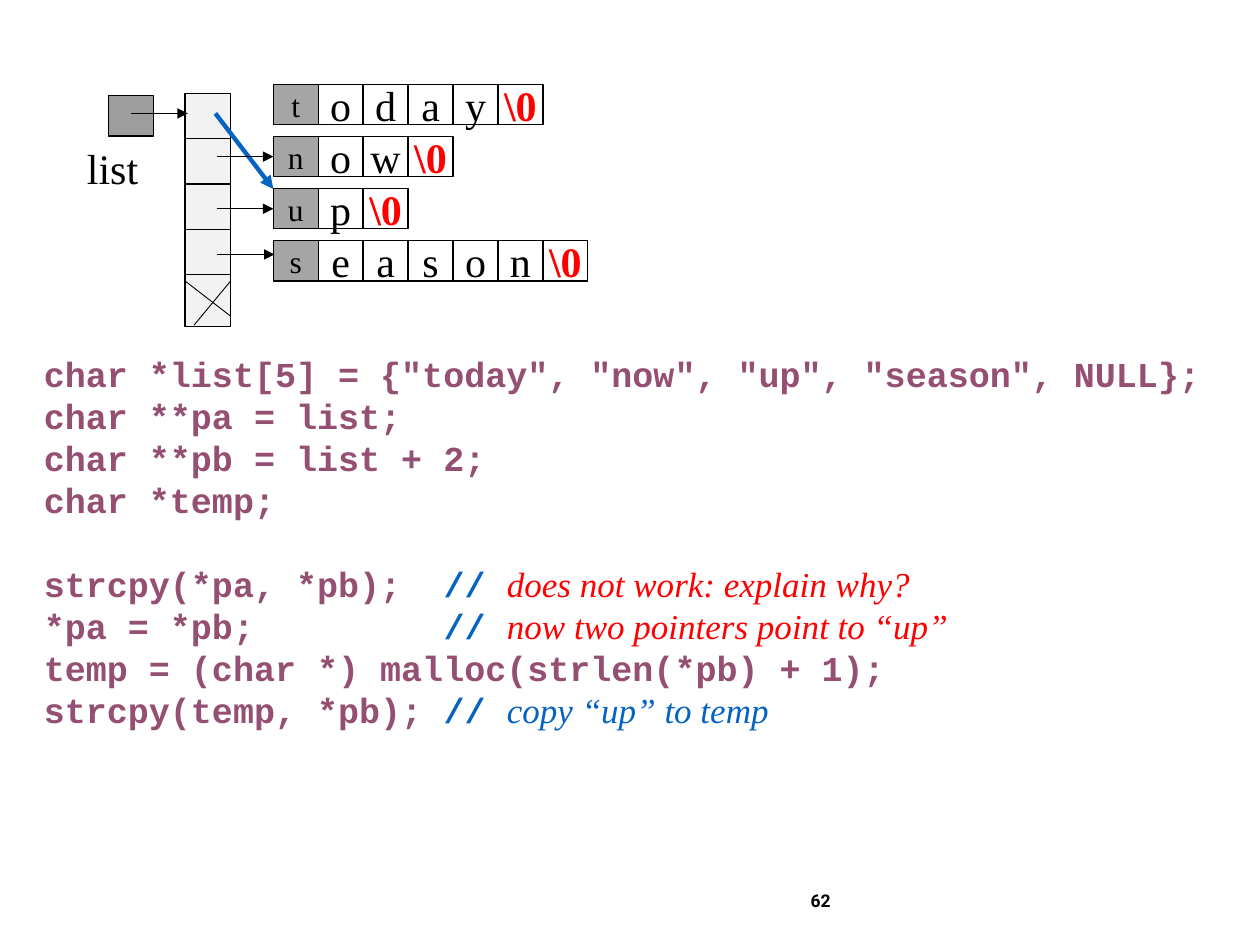
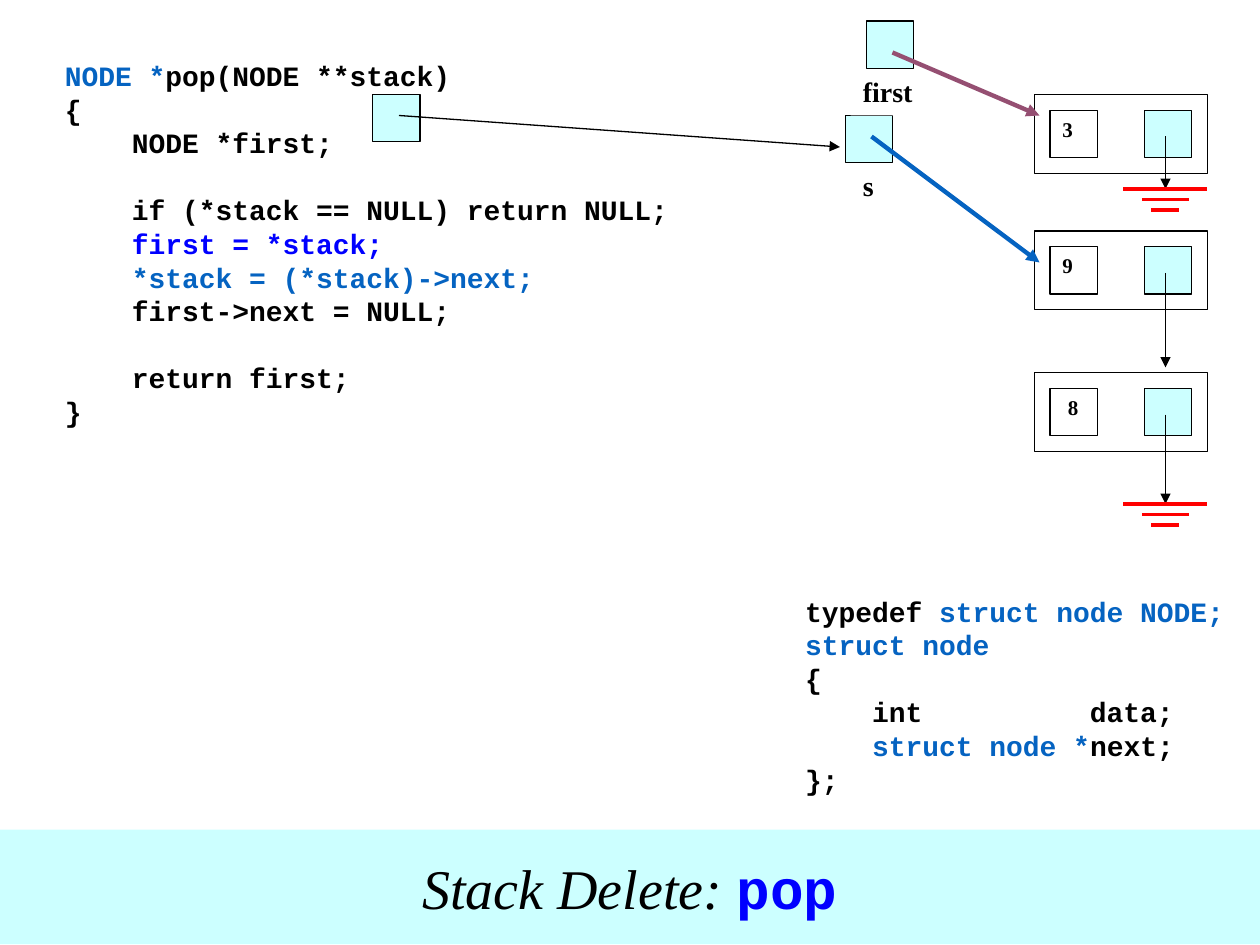
from collections import namedtuple

from lxml.etree import SubElement
from pptx import Presentation
from pptx.dml.color import RGBColor
from pptx.enum.shapes import MSO_CONNECTOR as Conn, MSO_SHAPE as Kind
from pptx.enum.text import MSO_ANCHOR as Anchor, PP_ALIGN as Align
from pptx.oxml.ns import qn
from pptx.util import Pt

BLACK = RGBColor(0x00, 0x00, 0x00)
WHITE = RGBColor(0xFF, 0xFF, 0xFF)
PALE = RGBColor(0xF2, 0xF2, 0xF2)
GRAY = RGBColor(0xA5, 0xA5, 0xA5)
DARK = RGBColor(0x9D, 0x9D, 0x9D)
CYAN = RGBColor(0xCC, 0xFF, 0xFF)
RED = RGBColor(0xFF, 0x00, 0x00)
BLUE = RGBColor(0x05, 0x63, 0xC1)
PURE = RGBColor(0x00, 0x00, 0xFF)
PLUM = RGBColor(0x95, 0x4F, 0x72)

MONO, SERIF, SANS = "Courier New", "Times New Roman", "Roboto"
WIDTH, HEIGHT = 720, 540

Style = namedtuple("Style", "size color name bold italic",
                   defaults=(BLACK, SERIF, False, False))


def mono(size, color=BLACK):
    return Style(size, color, MONO, True)


def dress(font, style):
    font.size, font.name = Pt(style.size), style.name
    font.bold, font.italic = style.bold, style.italic
    font.color.rgb = style.color


def write(para, runs, align=Align.LEFT):
    """Fill a paragraph with (text, style) runs."""
    para.alignment = align
    styles = {style for _, style in runs}
    if len(styles) == 1:
        dress(para.font, runs[0][1])
    for text, style in runs:
        run = para.add_run()
        run.text = text
        if len(styles) > 1:
            dress(run.font, style)


def rect(slide, x, y, w, h, fill=None, line=BLACK, runs=(),
         align=Align.LEFT, anchor=Anchor.TOP, wrap=True):
    shape = slide.shapes.add_shape(Kind.RECTANGLE, Pt(x), Pt(y), Pt(w), Pt(h))
    shape.shadow.inherit = False
    if fill is None:
        shape.fill.background()
    else:
        shape.fill.solid()
        shape.fill.fore_color.rgb = fill
    if line is None:
        shape.line.fill.background()
    else:
        shape.line.color.rgb = line
        shape.line.width = Pt(0.75)
    if runs:
        frame = shape.text_frame
        frame.word_wrap, frame.vertical_anchor = wrap, anchor
        write(frame.paragraphs[0], runs, align)
    return shape


def label(slide, x, y, w, h, runs, align=Align.LEFT, anchor=Anchor.TOP):
    frame = slide.shapes.add_textbox(Pt(x), Pt(y), Pt(w), Pt(h)).text_frame
    frame.word_wrap, frame.vertical_anchor = True, anchor
    write(frame.paragraphs[0], runs, align)
    return frame


def link(slide, x1, y1, x2, y2, color=BLACK, width=0.75, head=True):
    """Draw a straight line, with an arrowhead at its end if head is set."""
    line = slide.shapes.add_connector(
        Conn.STRAIGHT, Pt(x1), Pt(y1), Pt(x2), Pt(y2))
    line.line.color.rgb = color
    line.line.width = Pt(width)
    if head:
        SubElement(line.line._get_or_add_ln(), qn("a:tailEnd"), type="triangle")
    SubElement(line._element.spPr, qn("a:effectLst"))
    return line


def code(slide, x, y, w, h, size, lines, wrap=True):
    """Set code lines; None stands for one line of space."""
    frame = slide.shapes.add_textbox(Pt(x), Pt(y), Pt(w), Pt(h)).text_frame
    frame.word_wrap = wrap
    lead, gap = Pt(1.2 * size), False
    para = frame.paragraphs[0]
    for i, runs in enumerate(lines):
        if runs is None:
            gap = True
            continue
        if i:
            para = frame.add_paragraph()
        para.line_spacing = lead
        if gap:
            para.space_before = lead
        gap = False
        write(para, runs)


def word(slide, x, y, text):
    """Draw one string as a row of cells; return its first cell."""
    cell, tall = 25.68, 23
    first = None
    for i, char in enumerate([*text, "\\0"]):
        if i == 0:
            style = Style(18)
        elif i == len(text):
            style = Style(24, RED, bold=True)
        else:
            style = Style(24)
        shape = rect(slide, x + i * cell, y, cell, tall,
                     GRAY if i == 0 else None, runs=[(char, style)],
                     align=Align.CENTER, anchor=Anchor.MIDDLE, wrap=False)
        first = first or shape
    return first


def array(slide, x, y):
    """Draw the pointer array and the strings it points to."""
    col, step = x + 43.9, 25.92
    for i in range(5):
        rect(slide, col, y + 5.1 + i * step, step, 29.5, PALE)
    heads = [word(slide, x + 94.3, y + i * 29.8, text)
             for i, text in enumerate(("today", "now", "up", "season"))]
    rect(slide, x, y + 6.5, 25.7, 23, DARK)
    name = label(slide, x - 19.4, y + 29.5, 49.7, 36,
                 [("list", Style(24))], Align.RIGHT)
    name.margin_left, name.margin_right = 0, Pt(13.2)

    link(slide, x + 13, y + 16.6, x + 45.4, y + 16.6)
    link(slide, x + 61.2, y + 16.6, x + 94.3, y + 59.8, BLUE, 2.5)
    for i in (1, 2):
        mid = y + i * 29.8 + 11.5
        link(slide, x + 61.9, mid, x + 94.3, mid).end_connect(heads[i], 1)
    link(slide, x + 61.9, y + 97.2, x + 95, y + 97.2)
    link(slide, col + 26, y + 112.4, col + 5.1, y + 137.6, width=0.5, head=False)
    link(slide, col, y + 112.4, col + 26, y + 132.5, width=0.5, head=False)


def strings(slide):
    plum, mark = mono(20, PLUM), ("// ", mono(20, BLUE))
    warn = Style(20, RED, italic=True)
    note = Style(20, BLUE, italic=True)
    label(slide, 238.3, 500.4, 243.4, 28.8,
          [("62", Style(10, name=SANS, bold=True))], Align.RIGHT, Anchor.MIDDLE)
    code(slide, 18, 198, 684, 223.2, 20, [
        [('char *list[5] = {"today", "now", "up", "season", NULL};', plum)],
        [("char **pa = list;", plum)],
        [("char **pb = list + 2;", plum)],
        [("char *temp;", plum)],
        None,
        [("strcpy(*pa, *pb);  ", plum), mark,
         ("does not work: explain why?", warn)],
        [("*pa = *pb;         ", plum), mark,
         ("now two pointers point to “up”", warn)],
        [("temp = (char *) malloc(strlen(*pb) + 1);", plum)],
        [("strcpy(temp, *pb); ", plum), mark, ("copy “up” to temp", note)],
    ])
    array(slide, 61.9, 48.2)


def square(slide, x, y, fill=CYAN, runs=()):
    return rect(slide, x, y, 27, 27, fill, runs=runs)


def node(slide, x, y, value, drop, inset=7.2):
    """Draw a list node whose pointer reaches drop points below its top."""
    rect(slide, x, y, 99, 45, WHITE)
    square(slide, x + 63, y + 9)
    data = square(slide, x + 9, y + 9, WHITE, [(value, Style(12, bold=True))])
    data.text_frame.margin_left = Pt(inset)
    return x + 75, y + 24, x + 75, y + drop


def ground(slide, mid, y):
    for i, half in enumerate((24, 13.5, 8)):
        link(slide, mid - half, y + 6 * i, mid + half, y + 6 * i, RED, 2, False)


def chain(slide, x, y):
    """Draw the linked list, with the pointers first and s at its left."""
    bold = Style(16, bold=True)
    rect(slide, x - 105, y + 39, 24, 27, WHITE, None, [("s", bold)])
    square(slide, x - 108, y + 12)
    arrows = [node(slide, x, y, "3", 54),
              node(slide, x, y + 78, "9", 78),
              node(slide, x, y + 159, "8", 75, 10.2)]
    for ends in arrows:
        link(slide, *ends)
    rect(slide, x - 105, y - 15, 54, 27, WHITE, None, [("first", bold)])
    square(slide, x - 96, y - 42)
    link(slide, x - 81, y - 24, x + 3, y + 12, PLUM, 2.5)
    square(slide, x - 378, y)
    link(slide, x - 363, y + 12, x - 111, y + 30)
    link(slide, x - 93, y + 24, x + 3, y + 96, BLUE, 2.5)
    for drop in (54, 234):
        ground(slide, x + 75, y + drop)


def band(slide, runs):
    rect(slide, 0, 474, WIDTH, 65.5, CYAN, None, runs,
         Align.CENTER, Anchor.MIDDLE, False)


def pop(slide):
    ink, blue = mono(16), mono(16, BLUE)
    code(slide, 30, 30, 456, 238.3, 16, [
        [("NODE *", blue), ("pop(NODE **stack)", ink)],
        [("{", ink)],
        [("    NODE *first;", ink)],
        None,
        [("    if (*stack == NULL) return NULL;", ink)],
        [("    first = *stack;", mono(16, PURE))],
        [("    *stack = (*stack)->next;", blue)],
        [("    first->next = NULL;", ink)],
        None,
        [("    return first;", ink)],
        [("}", ink)],
    ])
    code(slide, 453, 336, 255, 122.4, 16, [
        [("typedef ", ink), ("struct node NODE;", blue)],
        [("struct node", blue)],
        [("{", ink)],
        [("    int          data;", ink)],
        [("    struct node *", blue), ("next;", ink)],
        [("};", ink)],
    ], wrap=False)
    chain(slide, 591, 54)
    band(slide, [("Stack Delete: ", Style(32, italic=True)),
                 ("pop", mono(32, PURE))])


def main():
    deck = Presentation()
    deck.slide_width, deck.slide_height = Pt(WIDTH), Pt(HEIGHT)
    for build in (strings, pop):
        build(deck.slides.add_slide(deck.slide_layouts[6]))
    deck.save("out.pptx")


if __name__ == "__main__":
    main()
